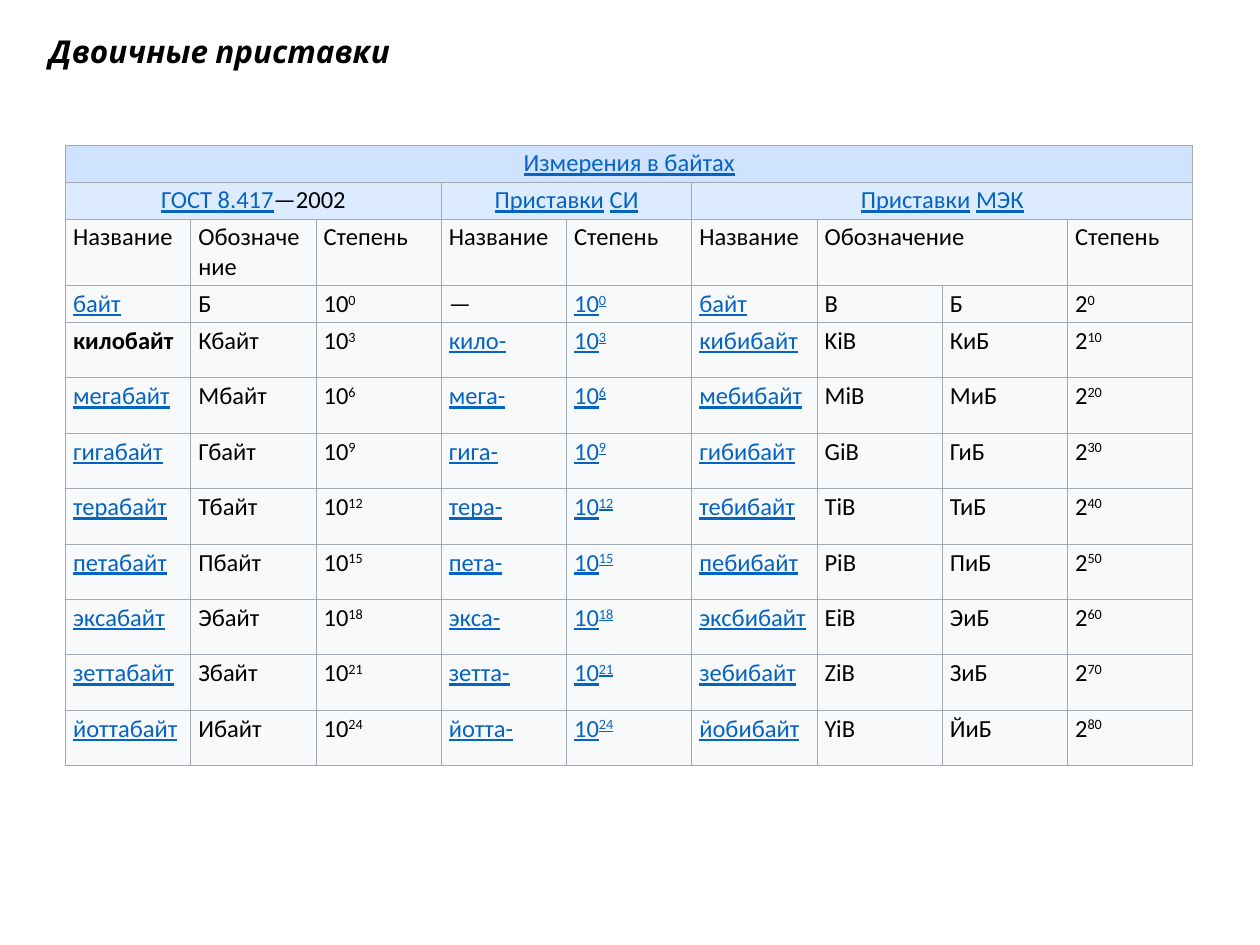
from lxml.etree import SubElement
from pptx import Presentation
from pptx.dml.color import RGBColor as RGB
from pptx.enum.text import MSO_ANCHOR as Anchor, MSO_AUTO_SIZE as Fit, PP_ALIGN as Align
from pptx.oxml.ns import qn
from pptx.util import Inches, Pt

COLORS = {"text": "000000", "link": "0563C1", "line": "A2A9B1",
          "top": "CFE3FF", "group": "DCEBFF", "body": "F8F9FA"}
COLS = 9
# Text between underscores is a link; "^" starts a superscript.
GROUPS = [(0, 3, "_ГОСТ 8.417_—2002"), (3, 2, "_Приставки_ _СИ_"),
          (5, 4, "_Приставки_ _МЭК_")]
HEADS = ["Название", "Обозначение", "Степень", "Название", "Степень",
         "Название", "Обозначение", "", "Степень"]
UNIT = ["_байт_", "Б", "10^0", "—", "_10^0_", "_байт_", "B", "Б", "2^0"]
STEMS = ["кило", "мега", "гига", "тера", "пета", "экса", "зетта", "йотта"]
BINARY = ["киби", "меби", "гиби", "теби", "пеби", "эксби", "зеби", "йоби"]


def prefix_rows():
    letters = zip(STEMS, BINARY, "КМГТПЭЗИ", "KMGTPEZY", "КМГТПЭЗЙ")
    for n, (stem, binary, mark, latin, local) in enumerate(letters, 1):
        power = f"10^{3 * n}"
        name = f"{stem}байт" if n == 1 else f"_{stem}байт_"
        yield [name, f"{mark}байт", power, f"_{stem}-_", f"_{power}_",
               f"_{binary}байт_", f"{latin}iB", f"{local}иБ", f"2^{10 * n}"]


class Deck:
    def __init__(self):
        self.prs = Presentation()
        self.prs.slide_width, self.prs.slide_height = Inches(10), Inches(7.5)
        self.slide = self.prs.slides.add_slide(self.prs.slide_layouts[5])

    def color(self, name):
        return RGB.from_string(COLORS[name])

    def style(self, par, face, size, align):
        par.alignment = align
        par.font.name, par.font.size = face, Pt(size)
        par.font.color.rgb = self.color("text")

    def title(self, text, left, top, width, height):
        box = self.slide.shapes.title
        box.left, box.top = Inches(left), Inches(top)
        box.width, box.height = Inches(width), Inches(height)
        frame = box.text_frame
        frame.text = text
        frame.word_wrap, frame.auto_size = False, Fit.SHAPE_TO_FIT_TEXT
        frame.vertical_anchor = Anchor.TOP
        par = frame.paragraphs[0]
        self.style(par, "Karla", 18, Align.LEFT)
        par.font.bold = par.font.italic = True

    def table(self, left, top, width, height, rows):
        frame = self.slide.shapes.add_table(
            len(rows), COLS, Inches(left), Inches(top), Inches(width), Inches(height))
        grid = frame.table
        for row, size in zip(grid.rows, rows):
            row.height = Inches(size)
        frame.height = Inches(height)
        return grid

    def border(self, cell):
        props = cell._tc.get_or_add_tcPr()
        for side in ("lnL", "lnR", "lnT", "lnB"):
            line = SubElement(props, qn(f"a:{side}"), w=str(Pt(0.5)))
            fill = SubElement(line, qn("a:solidFill"))
            SubElement(fill, qn("a:srgbClr"), val=COLORS["line"])

    def run(self, par, text, link, raised=False):
        if not text:
            return
        run = par.add_run()
        run.text = text
        if link:
            run.font.underline = True
            run.font.color.rgb = self.color("link")
        if raised:
            run._r.get_or_add_rPr().set("baseline", "30000")

    def cell(self, cell, text, fill, align=Align.LEFT):
        cell.margin_left = cell.margin_right = Inches(0.06)
        cell.margin_top = cell.margin_bottom = Inches(0.03)
        self.border(cell)
        cell.fill.solid()
        cell.fill.fore_color.rgb = self.color(fill)
        par = cell.text_frame.paragraphs[0]
        self.style(par, "Calibri", 14, align)
        for i, part in enumerate(text.split("_")):
            base, _, power = part.partition("^")
            self.run(par, base, i % 2)
            self.run(par, power, i % 2, raised=True)


def main():
    deck = Deck()
    deck.title("Двоичные приставки", 0.29, 0.2, 2.91, 0.4)
    grid = deck.table(0.52, 1.15, 8.95, 4.97,
                      [0.25, 0.25, 0.44, 0.25] + [0.44] * len(STEMS))

    groups = [""] * COLS
    for col, span, text in GROUPS:
        groups[col] = text
        grid.cell(1, col).merge(grid.cell(1, col + span - 1))
    grid.cell(0, 0).merge(grid.cell(0, COLS - 1))
    grid.cell(2, 6).merge(grid.cell(2, 7))

    top = ["_Измерения в байтах_"] + [""] * (COLS - 1)
    for r, texts in enumerate([top, groups, HEADS, UNIT, *prefix_rows()]):
        fill = ("top", "group")[r] if r < 2 else "body"
        align = Align.CENTER if r < 2 else Align.LEFT
        for c, text in enumerate(texts):
            deck.cell(grid.cell(r, c), text, fill, align)
    grid.cell(4, 0).text_frame.paragraphs[0].font.bold = True
    deck.prs.save("out.pptx")


if __name__ == "__main__":
    main()
